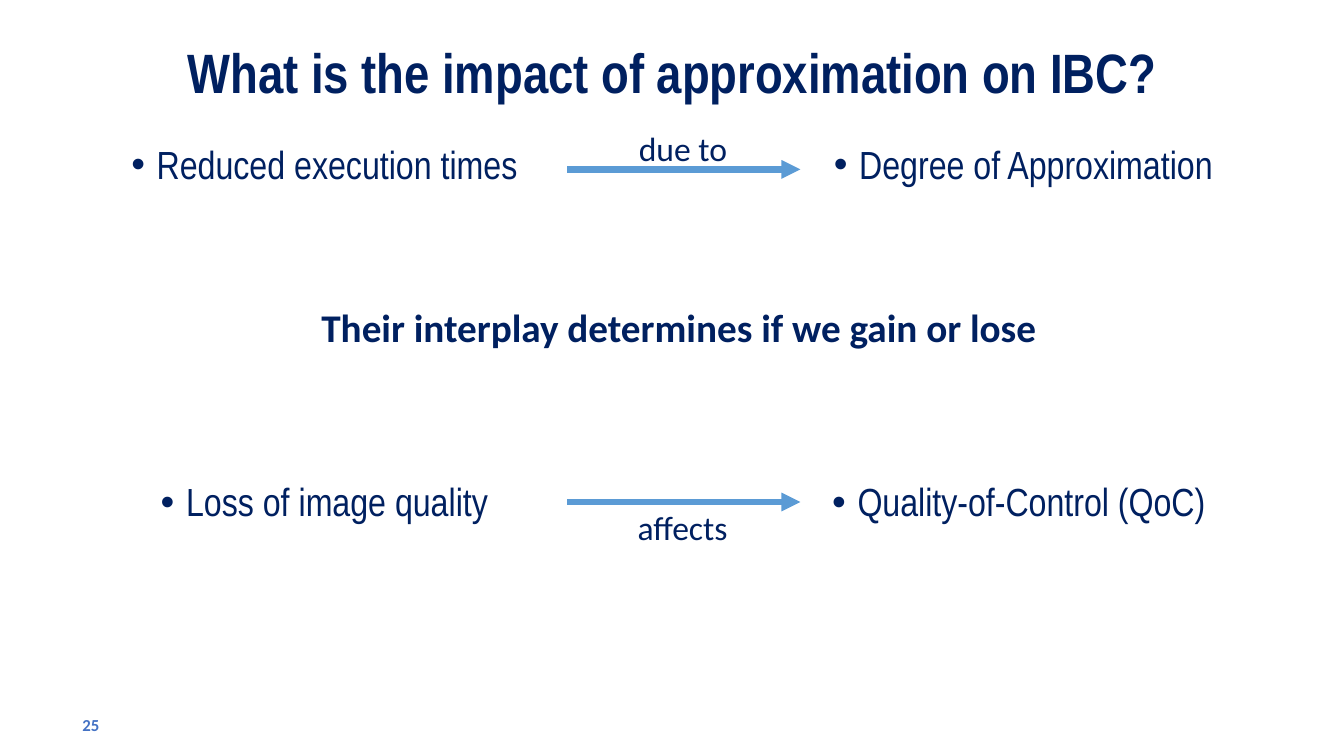
from dataclasses import dataclass

from lxml import etree
from pptx import Presentation
from pptx.dml.color import RGBColor
from pptx.enum.shapes import MSO_CONNECTOR
from pptx.enum.text import MSO_ANCHOR, MSO_AUTO_SIZE, PP_ALIGN
from pptx.oxml.ns import qn
from pptx.util import Cm, Pt

LEFT, CENTER = PP_ALIGN.LEFT, PP_ALIGN.CENTER
TOP, MIDDLE = MSO_ANCHOR.TOP, MSO_ANCHOR.MIDDLE
FIXED, GROW = MSO_AUTO_SIZE.NONE, MSO_AUTO_SIZE.SHAPE_TO_FIT_TEXT
STRAIGHT = MSO_CONNECTOR.STRAIGHT
TWO_LISTS = 3


@dataclass(frozen=True)
class Theme:
    ink: RGBColor = RGBColor(0x00, 0x20, 0x60)
    arrow: RGBColor = RGBColor(0x5B, 0x9B, 0xD5)
    page: RGBColor = RGBColor(0x44, 0x72, 0xC4)
    head: str = "Arial Narrow"
    text: str = "Calibri"
    title: Pt = Pt(39.6)
    body: Pt = Pt(28)
    label: Pt = Pt(24)
    small: Pt = Pt(12)
    stroke: Pt = Pt(4.5)


THEME = Theme()


def apply(target, values):
    for name, value in values.items():
        setattr(target, name, value)


def place(shape, box):
    names = ("left", "top", "width", "height")
    apply(shape, dict(zip(names, map(Cm, box))))


def style(para, face, size, color=THEME.ink, bold=False, **format):
    apply(para, format)
    apply(para.font, {"name": face, "size": size, "bold": bold})
    para.font.color.rgb = color


def add_title(slide, text, box):
    title = slide.shapes.title
    place(title, box)
    frame = title.text_frame
    frame.text = text
    apply(frame, {"word_wrap": True, "auto_size": FIXED, "vertical_anchor": MIDDLE})
    style(frame.paragraphs[0], THEME.head, THEME.title, bold=True,
          alignment=CENTER, line_spacing=0.9)


def add_bullet(para):
    props = para._p.get_or_add_pPr()
    props.set("marL", str(Cm(0.64)))
    props.set("indent", str(Cm(-0.64)))
    etree.SubElement(props, qn("a:buFont")).set("typeface", "Arial")
    etree.SubElement(props, qn("a:buChar")).set("char", "•")


def fill_list(holder, items, box, gap):
    place(holder, box)
    frame = holder.text_frame
    frame.text = "\n".join(items)
    apply(frame, {"word_wrap": True, "auto_size": FIXED, "vertical_anchor": TOP})
    for index, para in enumerate(frame.paragraphs):
        add_bullet(para)
        style(para, THEME.head, THEME.body, alignment=CENTER,
              line_spacing=0.9, space_before=gap if index else Pt(0))


def add_text(slide, text, box, size, wrap=False, anchor=TOP, **look):
    frame = slide.shapes.add_textbox(*map(Cm, box)).text_frame
    frame.text = text
    apply(frame, {"word_wrap": wrap, "auto_size": FIXED if wrap else GROW,
                  "vertical_anchor": anchor})
    style(frame.paragraphs[0], THEME.text, size, alignment=LEFT, **look)


def add_arrow(slide, start, end, level):
    points = map(Cm, (start, level, end, level))
    arrow = slide.shapes.add_connector(STRAIGHT, *points)
    arrow.line.color.rgb = THEME.arrow
    arrow.line.width = THEME.stroke
    props = arrow.element.spPr
    tail = etree.SubElement(props.find(qn("a:ln")), qn("a:tailEnd"))
    tail.set("type", "triangle")
    etree.SubElement(props, qn("a:effectLst"))


def main():
    deck = Presentation()
    apply(deck, {"slide_width": Cm(33.87), "slide_height": Cm(19.05)})
    slide = deck.slides.add_slide(deck.slide_layouts[TWO_LISTS])

    add_title(slide, "What is the impact of approximation on IBC?",
              (2.34, 1.02, 29.21, 1.75))

    causes = ["Reduced execution times", "Loss of image quality"]
    effects = ["Degree of Approximation", "Quality-of-Control (QoC) "]
    gap = Pt(211)
    fill_list(slide.placeholders[1], causes, (2.34, 3.53, 11.66, 13.61), gap)
    fill_list(slide.placeholders[2], effects, (20.02, 3.53, 11.53, 13.61), gap)

    add_text(slide, "Their interplay determines if we gain or lose",
             (7.85, 7.52, 18.75, 1.45), THEME.body, bold=True)

    for level in (4.27, 12.65):
        add_arrow(slide, 14.3, 20.17, level)
    add_text(slide, "due to", (15.85, 3.1, 2.77, 1.27), THEME.label)
    add_text(slide, "affects", (15.82, 12.65, 2.82, 1.27), THEME.label)

    add_text(slide, "25", (1.83, 17.75, 7.62, 1.02), THEME.small,
             wrap=True, anchor=MIDDLE, color=THEME.page, bold=True)
    deck.save("out.pptx")


if __name__ == "__main__":
    main()
